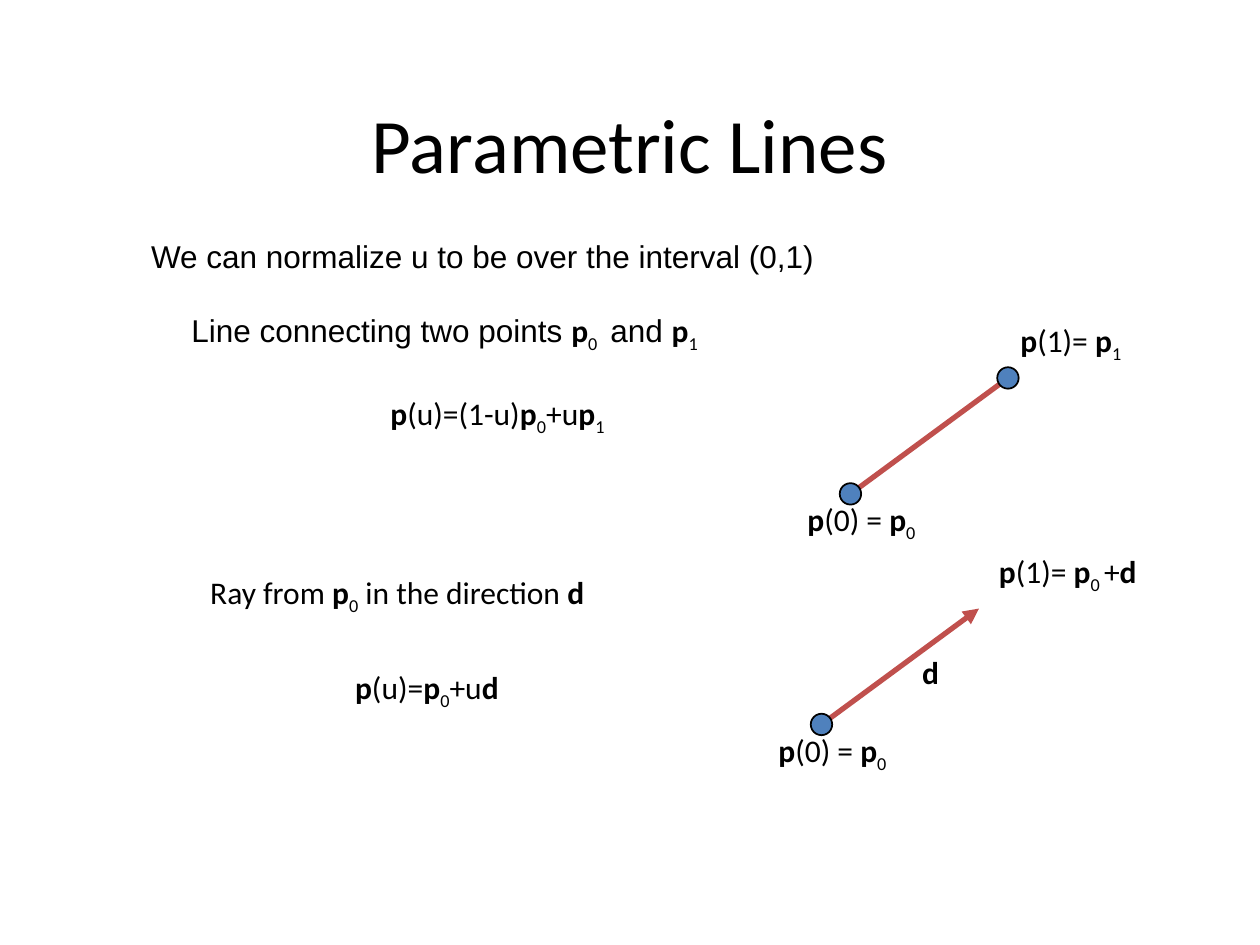
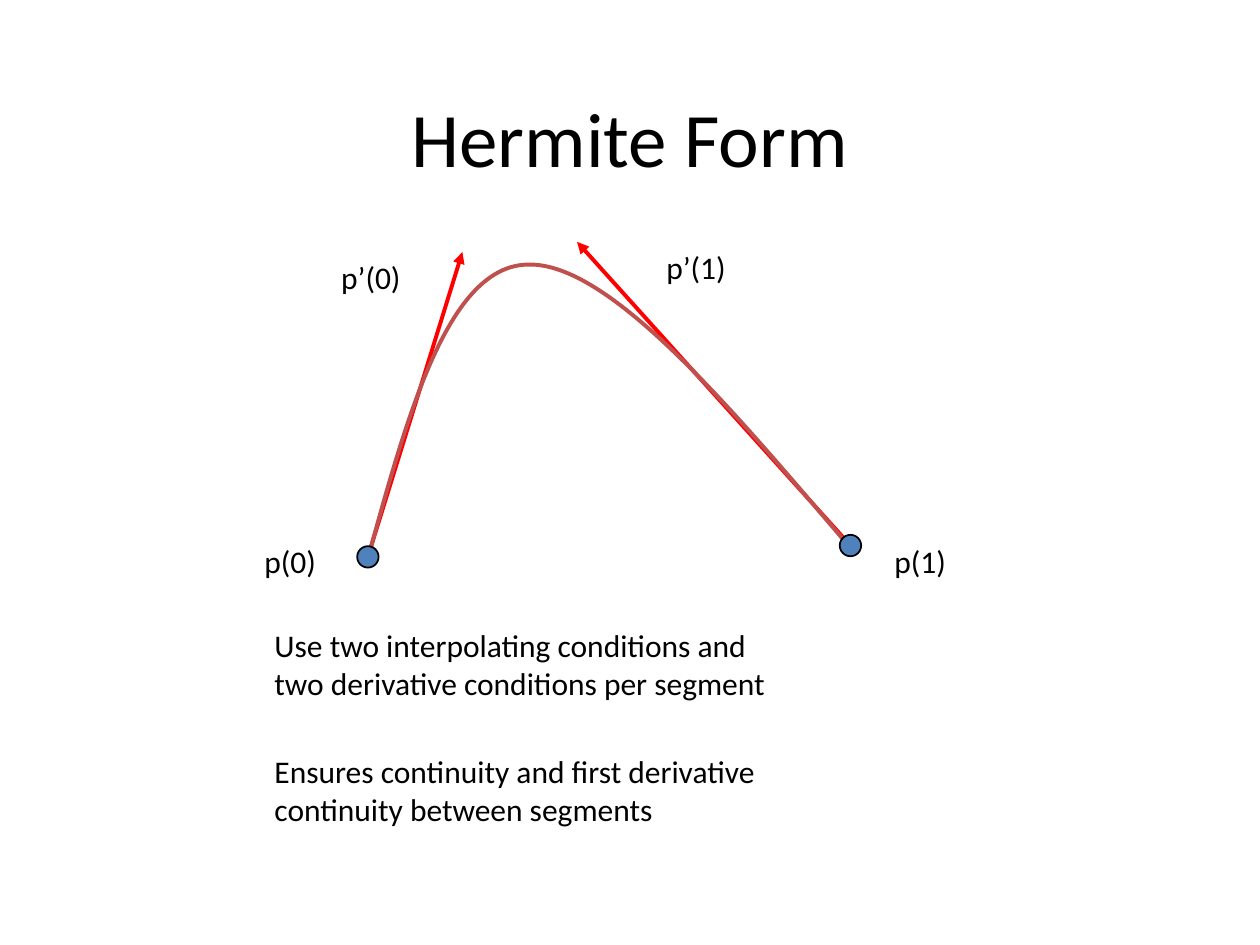
from dataclasses import dataclass

from lxml import etree
from pptx import Presentation
from pptx.dml.color import RGBColor
from pptx.enum.shapes import MSO_CONNECTOR, MSO_SHAPE
from pptx.enum.text import MSO_ANCHOR, MSO_AUTO_SIZE, PP_ALIGN
from pptx.oxml.ns import qn
from pptx.util import Inches, Pt

STRAIGHT = MSO_CONNECTOR.STRAIGHT
OVAL = MSO_SHAPE.OVAL
MIDDLE = MSO_ANCHOR.MIDDLE
CENTER = PP_ALIGN.CENTER
LEFT = PP_ALIGN.LEFT
GROW = MSO_AUTO_SIZE.SHAPE_TO_FIT_TEXT
TITLE_ONLY = 5


@dataclass(frozen=True)
class Theme:
    """Colours, fonts and sizes shared by the slides."""
    ink: RGBColor = RGBColor(0x00, 0x00, 0x00)
    point: RGBColor = RGBColor(0x4F, 0x81, 0xBD)
    curve: RGBColor = RGBColor(0xC0, 0x50, 0x4D)
    tangent: RGBColor = RGBColor(0xFF, 0x00, 0x00)
    font: str = "Calibri"
    prose_font: str = "Arial"
    title_size: int = 44
    text_size: int = 18
    segment_width: float = 3
    curve_width: float = 2.25
    point_size: float = 0.17


THEME = Theme()
BOLD, SUB, PLAIN = "bold", "sub", "plain"
P, D = ("p", BOLD), ("d", BOLD)
SUB_0, SUB_1 = ("0", SUB), ("1", SUB)
SUB_0_SPACED = ("0 ", SUB)


def style_paragraph(paragraph, size, align, font):
    """Set the alignment and common font of a paragraph."""
    paragraph.alignment = align
    paragraph.font.size = Pt(size)
    paragraph.font.color.rgb = THEME.ink
    if font:
        paragraph.font.name = font


def add_titled_slide(deck, title, height):
    """Add a title-only slide and place its title."""
    slide = deck.slides.add_slide(deck.slide_layouts[TITLE_ONLY])
    heading = slide.shapes.title
    heading.left, heading.top = Inches(0.75), Inches(0.67)
    heading.width, heading.height = Inches(8.5), Inches(height)
    heading.text_frame.text = title
    heading.text_frame.vertical_anchor = MIDDLE
    style_paragraph(heading.text_frame.paragraphs[0], THEME.title_size, CENTER, THEME.font)
    return slide


def add_text(slide, left, top, width, *lines, height=0.5, font=THEME.font):
    """Add unwrapped text, one paragraph for each line."""
    box = slide.shapes.add_textbox(Inches(left), Inches(top), Inches(width), Inches(height))
    frame = box.text_frame
    frame.word_wrap = False
    frame.auto_size = GROW
    for index, line in enumerate(lines):
        paragraph = frame.add_paragraph() if index else frame.paragraphs[0]
        style_paragraph(paragraph, THEME.text_size, LEFT, font)
        paragraph.add_run().text = line


def add_formula(slide, left, top, width, *parts, height=0.5, prose_font=None):
    """Add a line of plain, bold and subscript parts."""
    box = slide.shapes.add_textbox(Inches(left), Inches(top), Inches(width), Inches(height))
    frame = box.text_frame
    frame.word_wrap = False
    frame.auto_size = GROW
    paragraph = frame.paragraphs[0]
    style_paragraph(paragraph, THEME.text_size, LEFT, None if prose_font else THEME.font)
    for part in parts:
        words, style = (part, PLAIN) if isinstance(part, str) else part
        run = paragraph.add_run()
        run.text = words
        if prose_font:
            run.font.name = prose_font if style == PLAIN else THEME.font
        if style == BOLD:
            run.font.bold = True
        elif style == SUB:
            run._r.get_or_add_rPr().set("baseline", "-25000")


def add_segment(slide, start, end, color, width, arrow=False):
    """Draw a straight segment, with an arrowhead if asked."""
    ends = [Inches(value) for value in (*start, *end)]
    segment = slide.shapes.add_connector(STRAIGHT, *ends)
    segment.line.color.rgb = color
    segment.line.width = Pt(width)
    properties = segment._element.spPr
    if arrow:
        etree.SubElement(properties.get_or_add_ln(), qn("a:tailEnd"), type="triangle")
    etree.SubElement(properties, qn("a:effectLst"))


def add_point(slide, center):
    """Mark a control point with a small disc."""
    size = THEME.point_size
    left, top = (Inches(value - size / 2) for value in center)
    disc = slide.shapes.add_shape(OVAL, left, top, Inches(size), Inches(size))
    disc.shadow.inherit = False
    disc.fill.solid()
    disc.fill.fore_color.rgb = THEME.point
    disc.line.color.rgb = THEME.ink
    disc.line.width = Pt(1)


def add_bezier(slide, start, controls):
    """Draw cubic curves from start, three controls to each."""
    builder = slide.shapes.build_freeform(Inches(start[0]), Inches(start[1]))
    builder.add_line_segments([(Inches(x), Inches(y)) for x, y in controls], close=False)
    curve = builder.convert_to_shape()
    curve.shadow.inherit = False
    curve.fill.background()
    curve.line.color.rgb = THEME.curve
    curve.line.width = Pt(THEME.curve_width)
    outline = next(curve._element.iter(qn("a:path")))
    steps = outline.findall(qn("a:lnTo"))
    for first in range(0, len(steps), 3):
        cubic = etree.SubElement(outline, qn("a:cubicBezTo"))
        for step in steps[first:first + 3]:
            cubic.append(step[0])
            outline.remove(step)


def build_parametric_lines(deck):
    """Build the slide on lines and rays."""
    slide = add_titled_slide(deck, "Parametric Lines", 0.92)
    add_text(slide, 1.1, 1.83, 7.22, "We can normalize u to be over the interval (0,1)",
             font=THEME.prose_font)
    add_formula(slide, 1.42, 2.42, 5.7, "Line connecting two points ", P, SUB_0_SPACED,
                " and ", P, SUB_1, prose_font=THEME.prose_font)
    add_formula(slide, 3, 3.08, 2.58, P, "(u)=(1-u)", P, SUB_0, "+u", P, SUB_1)
    add_formula(slide, 1.57, 4.5, 4.3, "Ray from ", P, SUB_0, " in the direction ", D)
    add_formula(slide, 2.72, 5.25, 1.8, P, "(u)=", P, SUB_0, "+u", D)

    line_start, line_end = (6.75, 3.92), (8, 3)
    ray_start, ray_end = (6.52, 5.75), (7.77, 4.83)
    add_segment(slide, line_start, line_end, THEME.curve, THEME.segment_width)
    add_segment(slide, ray_start, ray_end, THEME.curve, THEME.segment_width, arrow=True)
    for center in (line_start, line_end, ray_start):
        add_point(slide, center)
    for x, y in (line_start, ray_start):
        add_formula(slide, x - 0.44, y, 1.43, P, "(0) = ", P, SUB_0)
    add_formula(slide, 8, 2.5, 1.34, P, "(1)= ", P, SUB_1)
    add_formula(slide, 7.83, 4.33, 1.77, P, "(1)= ", P, SUB_0_SPACED, "+", D)
    add_formula(slide, 7.22, 5.13, 0.39, D, height=0.9)


def build_hermite_form(deck):
    """Build the slide on the Hermite curve and its tangents."""
    slide = add_titled_slide(deck, "Hermite Form", 0.83)
    start, end = (2.92, 4.42), (6.75, 4.33)
    for origin, tip in ((end, (4.58, 1.92)), (start, (3.67, 2))):
        add_segment(slide, origin, tip, THEME.tangent, THEME.curve_width, arrow=True)
    add_bezier(slide, (2.92, 4.43), [(3.24, 3.27), (3.56, 2.11), (4.19, 2.1),
                                     (4.83, 2.08), (5.79, 3.22), (6.75, 4.35)])
    for center in (start, end):
        add_point(slide, center)
    for label, left, top, width in (("p(0)", 2, 4.25, 0.76), ("p(1)", 7, 4.25, 0.76),
                                    ("p’(0)", 2.61, 2, 0.87), ("p’(1)", 5.19, 1.92, 0.87)):
        add_text(slide, left, top, width, label)
    add_text(slide, 2.08, 4.92, 5.29, "Use two interpolating conditions and",
             "two derivative conditions per segment", height=0.9)
    add_text(slide, 2.08, 5.92, 5.29, "Ensures continuity and first derivative",
             "continuity between segments", height=0.9)


def main():
    """Build and save the two slides."""
    deck = Presentation()
    deck.slide_width, deck.slide_height = Inches(10), Inches(7.5)
    build_parametric_lines(deck)
    build_hermite_form(deck)
    deck.save("out.pptx")


if __name__ == "__main__":
    main()
